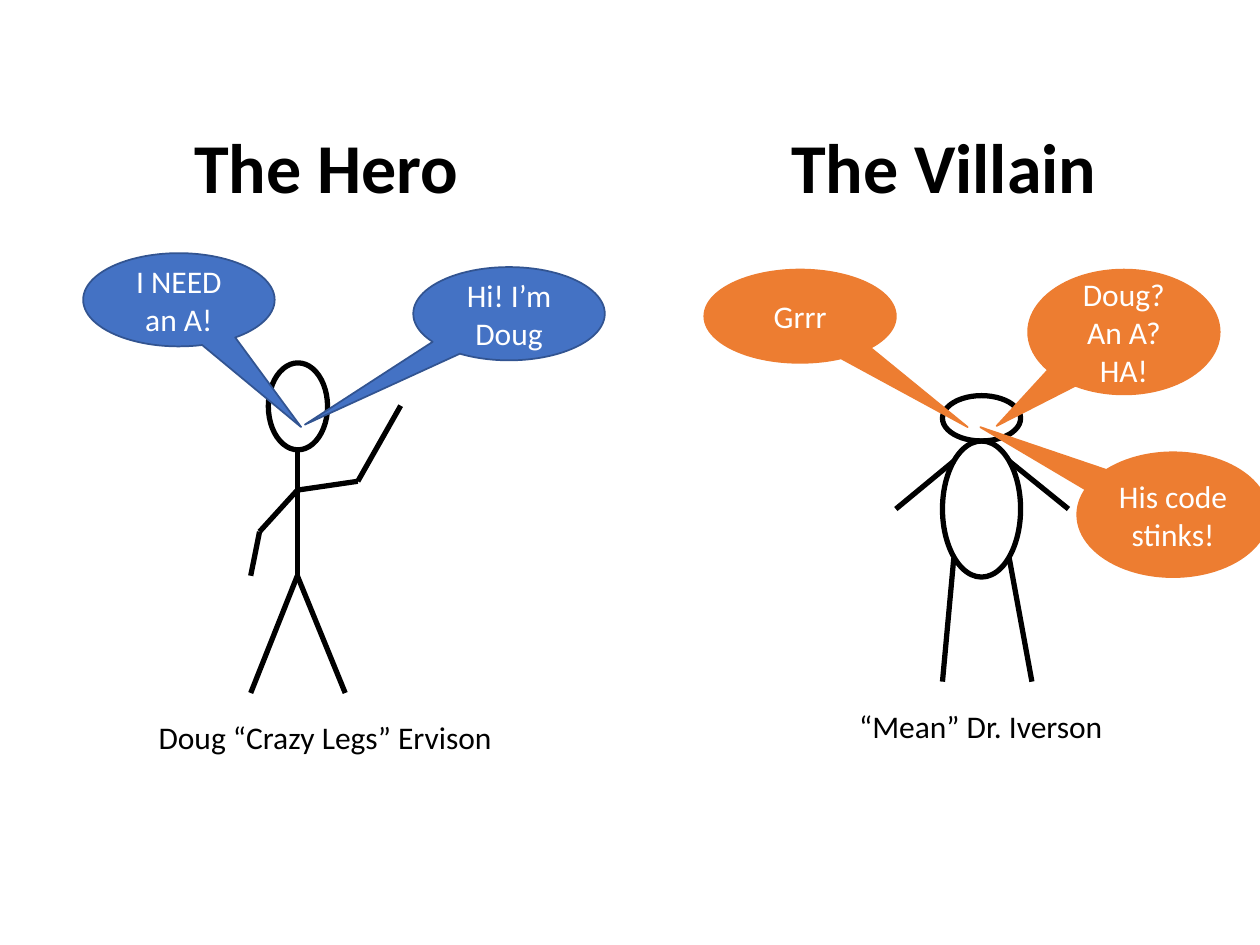
from itertools import pairwise

from lxml.etree import SubElement
from pptx import Presentation
from pptx.dml.color import RGBColor
from pptx.enum.shapes import MSO_CONNECTOR, MSO_SHAPE
from pptx.enum.text import MSO_ANCHOR, MSO_AUTO_SIZE, PP_ALIGN
from pptx.oxml.ns import qn
from pptx.util import Inches, Pt

THEME = {
    "font": "Calibri", "head": 40, "text": 18, "limb": 3, "edge": 1,
    "ink": "000000", "light": "FFFFFF",
    "hero": ("4472C4", "325491"), "villain": ("ED7D31", "ED7D31"),
}

# placeholder index, words, box
HEADS = [
    (1, "The Hero", (1.44, 0.93, 2.32, 0.77)),
    (3, "The Villain", (6.18, 0.93, 2.78, 0.77)),
]
NAMES = [
    ("Doug “Crazy Legs” Ervison", (1.16, 5.65, 2.88, 0.4)),
    ("“Mean” Dr. Iverson", (6.72, 5.56, 2.15, 0.4)),
]
# each figure: ovals as boxes, limbs as chains of points
NECK, HIP = (2.36, 3.89), (2.36, 4.57)
FIGURES = [
    {
        "ovals": [(2.13, 2.88, 0.47, 0.69)],
        "limbs": [
            [(2.36, 3.57), NECK, HIP],
            [HIP, (2.74, 5.5)],
            [HIP, (1.99, 5.5)],
            [NECK, (2.84, 3.82), (3.18, 3.22)],
            [NECK, (2.06, 4.22), (1.99, 4.57)],
        ],
    },
    {
        "ovals": [(7.48, 3.14, 0.62, 0.36), (7.48, 3.5, 0.62, 1.08)],
        "limbs": [
            [(8.01, 3.66), (8.48, 4.04)],
            [(7.57, 3.66), (7.11, 4.04)],
            [(7.57, 4.43), (7.48, 5.41)],
            [(8.01, 4.43), (8.19, 5.41)],
        ],
    },
]
# speaker, lines, left and top, height, tip of the tail
WIDE = 1.52
SPEECH = [
    ("hero", ["Hi! I’m Doug"], (3.28, 2.12), 0.74, (2.42, 3.37)),
    ("villain", ["Grrr"], (5.59, 2.14), 0.74, (7.68, 3.39)),
    ("hero", ["I NEED an A!"], (0.66, 2.01), 0.74, (2.39, 3.39)),
    ("villain", ["Doug?", "An A?", "HA!"], (8.16, 2.14), 0.99, (7.91, 3.38)),
    ("villain", ["His code stinks!"], (8.55, 3.59), 0.99, (7.78, 3.39)),
]


def inch(nums):
    return [Inches(n) for n in nums]


def tint(name):
    return RGBColor.from_string(name)


def write(shape, lines, size=THEME["text"], color=THEME["ink"], bold=False,
          align=PP_ALIGN.LEFT, anchor=MSO_ANCHOR.TOP, wrap=False):
    frame = shape.text_frame
    frame.auto_size = MSO_AUTO_SIZE.NONE
    frame.word_wrap = wrap
    frame.vertical_anchor = anchor
    frame.text = "\n".join(lines)
    for para in frame.paragraphs:
        para.alignment = align
        para.space_before = Pt(0)
        font = para.runs[0].font
        font.name, font.size, font.bold = THEME["font"], Pt(size), bold
        font.color.rgb = tint(color)


def stroke(shape, color, width):
    shape.line.color.rgb = tint(color)
    shape.line.width = Pt(width)


def figure(slide, ovals, limbs):
    group = slide.shapes.add_group_shape()
    for box in ovals:
        oval = group.shapes.add_shape(MSO_SHAPE.OVAL, *inch(box))
        oval.shadow.inherit = False
        oval.fill.background()
        stroke(oval, THEME["ink"], THEME["limb"])
    for chain in limbs:
        for start, end in pairwise(chain):
            limb = group.shapes.add_connector(
                MSO_CONNECTOR.STRAIGHT, *inch(start + end))
            stroke(limb, THEME["ink"], THEME["limb"])
            SubElement(limb._element.spPr, qn("a:effectLst"))


def bubble(slide, who, lines, spot, high, tip):
    size = (WIDE, high)
    shape = slide.shapes.add_shape(
        MSO_SHAPE.OVAL_CALLOUT, *inch(spot + size))
    # the tail is set as an offset from the centre, in parts of the size
    for i in range(2):
        shape.adjustments[i] = (tip[i] - spot[i]) / size[i] - 0.5
    fill, edge = THEME[who]
    shape.shadow.inherit = False
    shape.fill.solid()
    shape.fill.fore_color.rgb = tint(fill)
    stroke(shape, edge, THEME["edge"])
    write(shape, lines, color=THEME["light"], align=PP_ALIGN.CENTER,
          anchor=MSO_ANCHOR.MIDDLE, wrap=True)


def main():
    deck = Presentation()
    deck.slide_width, deck.slide_height = inch((10, 7.5))
    slide = deck.slides.add_slide(deck.slide_layouts.get_by_name("Comparison"))
    slots = {s.placeholder_format.idx: s for s in slide.placeholders}
    for idx, words, box in HEADS:
        head = slots.pop(idx)
        head.left, head.top, head.width, head.height = inch(box)
        write(head, [words], size=THEME["head"], bold=True)
    for spare in slots.values():
        spare._element.getparent().remove(spare._element)

    for parts in FIGURES:
        figure(slide, **parts)
    for words, box in NAMES:
        write(slide.shapes.add_textbox(*inch(box)), [words])
    for item in SPEECH:
        bubble(slide, *item)
    deck.save("out.pptx")


if __name__ == "__main__":
    main()
